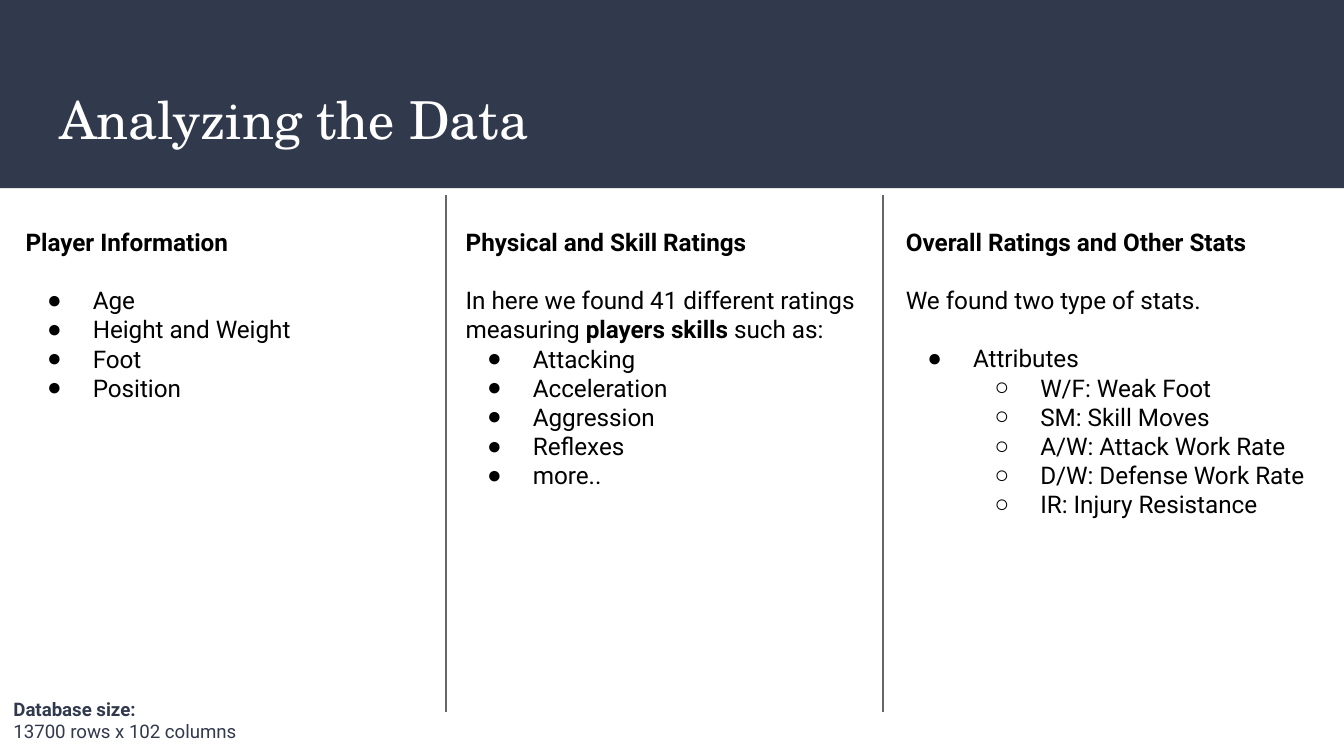
from lxml import etree
from pptx import Presentation
from pptx.dml.color import RGBColor
from pptx.enum.shapes import MSO_CONNECTOR, MSO_SHAPE
from pptx.enum.text import MSO_ANCHOR, MSO_AUTO_SIZE, PP_ALIGN
from pptx.oxml.ns import qn
from pptx.util import Inches, Pt

RECTANGLE = MSO_SHAPE.RECTANGLE
STRAIGHT = MSO_CONNECTOR.STRAIGHT
TOP, NO_FIT, LEFT = MSO_ANCHOR.TOP, MSO_AUTO_SIZE.NONE, PP_ALIGN.LEFT

NAVY = RGBColor(0x31, 0x39, 0x4D)
WHITE = RGBColor(0xFF, 0xFF, 0xFF)
BLACK = RGBColor(0x00, 0x00, 0x00)
GRAY = RGBColor(0x66, 0x66, 0x66)
HEADING_FONT, BODY_FONT = "TeX Gyre Schola", "Roboto"
BULLETS = {1: "●", 2: "○"}
BULLET_STEP, BULLET_HANG = 0.5, 0.34
BLANK_LINE = 15.6  # points

# Content: a paragraph is (depth, gap before it in lines, [(text, bold), ...])
TITLE = "Analyzing the Data"


def plain(text, depth=0, gap=0):
    return depth, gap, [(text, False)]


def heading(text):
    return 0, 0, [(text, True)]


def bullets(items, depth=1, first_gap=0):
    return [plain(item, depth, 0 if i else first_gap) for i, item in enumerate(items)]


COLUMNS = [
    [heading("Player Information"),
     *bullets(["Age", "Height and Weight", "Foot", "Position"], first_gap=1)],
    [heading("Physical and Skill Ratings"),
     (0, 1, [("In here we found 41 different ratings measuring ", False),
             ("players skills", True), (" such as:", False)]),
     *bullets(["Attacking", "Acceleration", "Aggression", "Reflexes", "more.."])],
    [heading("Overall Ratings and Other Stats"),
     plain("We found two type of stats.", gap=1),
     *bullets(["Attributes"], first_gap=1),
     *bullets(["W/F: Weak Foot", "SM: Skill Moves", "A/W: Attack Work Rate",
               "D/W: Defense Work Rate", "IR: Injury Resistance"], depth=2)],
]
DATABASE_NOTE = [heading("Database size:"), plain("13700 rows x 102 columns")]

# Layout in inches
FIRST_LEFT, LAST_LEFT, COLUMN_TOP, COLUMN_WIDTH = 0.09, 6.64, 1.59, 3.24
COLUMN_STEP = (LAST_LEFT - FIRST_LEFT) / (len(COLUMNS) - 1)
COLUMN_HEIGHTS = [1.95, 2.39, 2.61]
DIVIDERS, DIVIDER_TOP, DIVIDER_BOTTOM = [3.32, 6.57], 1.45, 5.3


def set_bullet(para, depth):
    props = para._p.get_or_add_pPr()
    if not depth:
        props.set("marL", "0")
        props.set("indent", "0")
        etree.SubElement(props, qn("a:buNone"))
        return
    para.level = depth - 1
    props.set("marL", str(Inches(BULLET_STEP * depth)))
    props.set("indent", str(-Inches(BULLET_HANG)))
    color = etree.SubElement(props, qn("a:buClr"))
    etree.SubElement(color, qn("a:srgbClr"), val=str(BLACK))
    etree.SubElement(props, qn("a:buChar"), char=BULLETS[depth])


def fill_box(box, place, paragraphs, size, color, font=BODY_FONT):
    box.left, box.top, box.width, box.height = map(Inches, place)
    frame = box.text_frame
    frame_format = {"word_wrap": True, "auto_size": NO_FIT, "vertical_anchor": TOP}
    for side in ("left", "top", "right", "bottom"):
        frame_format[f"margin_{side}"] = Inches(0.1)
    for name, value in frame_format.items():
        setattr(frame, name, value)
    for i, (depth, gap, spans) in enumerate(paragraphs):
        para = frame.add_paragraph() if i else frame.paragraphs[0]
        para_format = {"alignment": LEFT, "line_spacing": 1.0,
                       "space_before": Pt(BLANK_LINE * gap), "space_after": Pt(0)}
        for name, value in para_format.items():
            setattr(para, name, value)
        set_bullet(para, depth)
        for text, bold in spans:
            span = para.add_run()
            span.text = text
            span.font.color.rgb = color
            for name, value in {"name": font, "size": Pt(size), "bold": bold}.items():
                setattr(span.font, name, value)


# A 16:9 page
deck = Presentation()
deck.slide_width, deck.slide_height = Inches(10), Inches(10 * 9 / 16)
page = deck.slides.add_slide(deck.slide_layouts.get_by_name("Comparison"))
title, *bodies = page.placeholders

# Header band, kept behind the placeholders
band = page.shapes.add_shape(RECTANGLE, 0, 0, deck.slide_width, Inches(1.4))
band.shadow.inherit = False
band.fill.solid()
band.fill.fore_color.rgb = NAVY
band.line.fill.background()
title._element.addprevious(band._element)

# Title, three columns and the note
fill_box(title, (0.34, 0.55, 9.32, 0.68), [plain(TITLE)], 28, WHITE, HEADING_FONT)
for i, (box, column, height) in enumerate(zip(bodies, COLUMNS, COLUMN_HEIGHTS)):
    left = FIRST_LEFT + i * COLUMN_STEP
    fill_box(box, (left, COLUMN_TOP, COLUMN_WIDTH, height), column, 13, BLACK)
fill_box(bodies[-1], (0, 5.09, 2.77, 0.54), DATABASE_NOTE, 10, NAVY)

# Column dividers
for x in DIVIDERS:
    divider = page.shapes.add_connector(
        STRAIGHT, Inches(x), Inches(DIVIDER_TOP), Inches(x), Inches(DIVIDER_BOTTOM))
    divider.line.color.rgb = GRAY
    divider.line.width = Pt(0.75)
    etree.SubElement(divider._element.spPr, qn("a:effectLst"))

deck.save("out.pptx")
